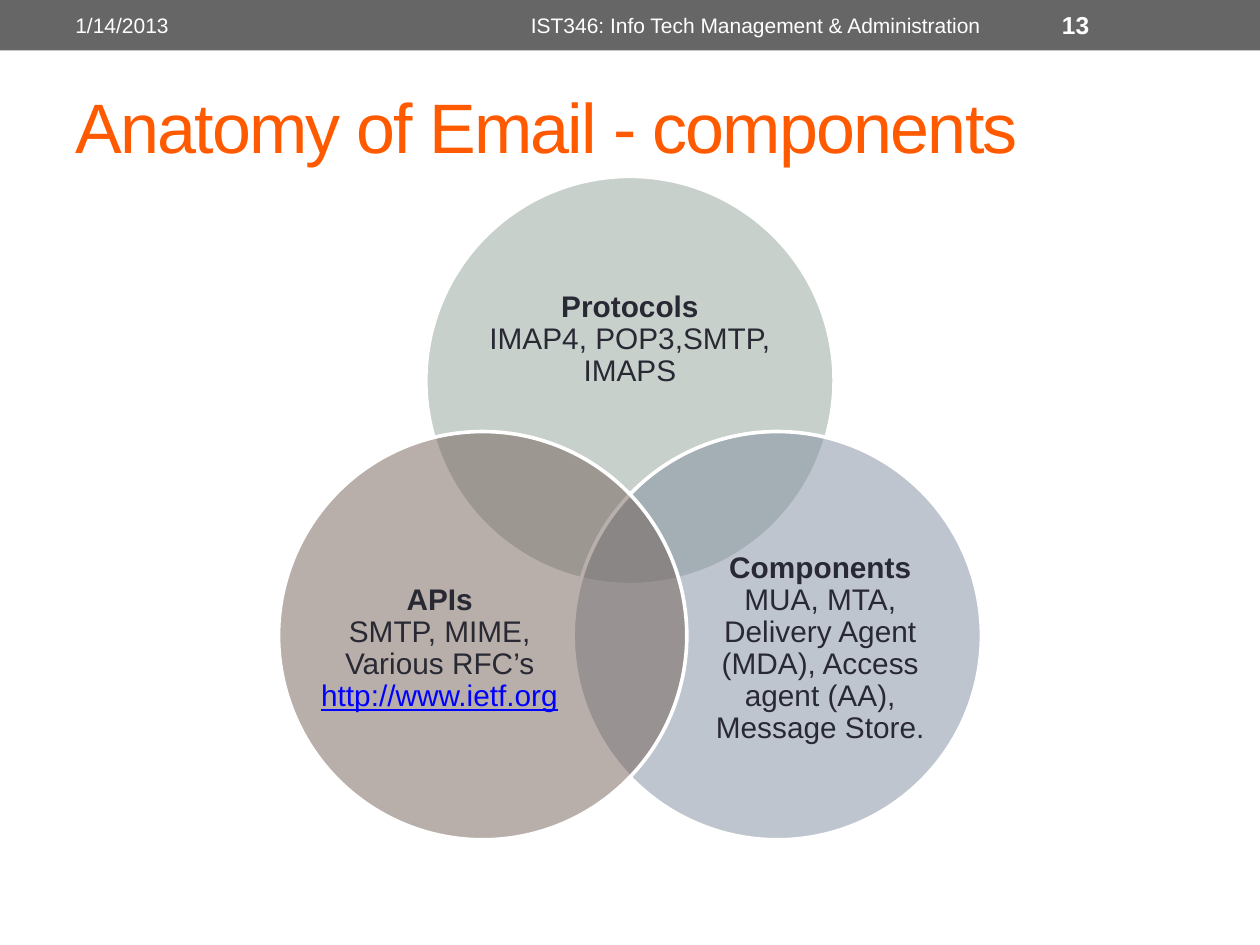
from math import cos, radians, sin

from lxml.etree import SubElement
from pptx import Presentation
from pptx.dml.color import RGBColor
from pptx.enum.shapes import MSO_SHAPE as Shape
from pptx.enum.text import MSO_ANCHOR as Anchor, PP_ALIGN as Align
from pptx.oxml.ns import qn
from pptx.util import Inches, Pt

WHITE, GRAY, ORANGE = "FFFFFF", "666666", "FF5A00"
INK, LINK = "292934", "0000FF"
SAGE, SLATE, BROWN = "93A299", "808DA0", "726056"


def color(hex_string):
    return RGBColor.from_string(hex_string)


class SlideBuilder:
    font_name = "Arial"

    def __init__(self, slide):
        self.slide = slide

    def shape(self, kind, left, top, width, height, fill, opacity=100, line=None):
        shape = self.slide.shapes.add_shape(
            kind, Inches(left), Inches(top), Inches(width), Inches(height))
        shape.shadow.inherit = False
        shape.fill.solid()
        shape.fill.fore_color.rgb = color(fill)
        if opacity < 100:
            fill_color = shape.fill._xPr.find(qn("a:solidFill"))[0]
            SubElement(fill_color, qn("a:alpha")).set("val", str(opacity * 1000))
        if line:
            shape.line.color.rgb = color(line)
            shape.line.width = Pt(2.08)
        else:
            shape.line.fill.background()

    def text_box(self, left, top, width, height, align=Align.LEFT, inset=True):
        """Add a middle-anchored box and return its first paragraph."""
        box = self.slide.shapes.add_textbox(
            Inches(left), Inches(top), Inches(width), Inches(height))
        frame = box.text_frame
        frame.word_wrap = True
        frame.vertical_anchor = Anchor.MIDDLE
        if not inset:
            frame.margin_left = frame.margin_right = 0
            frame.margin_top = frame.margin_bottom = 0
        paragraph = frame.paragraphs[0]
        paragraph.alignment = align
        return paragraph

    def run(self, paragraph, text, size, fill, bold=False, underline=False, spacing=0):
        run = paragraph.add_run()
        run.text = text
        font = run.font
        font.name, font.size = self.font_name, Pt(size)
        font.bold, font.underline = bold, underline
        font.color.rgb = color(fill)
        if spacing:
            run._r.get_or_add_rPr().set("spc", str(spacing * 100))

    def circle(self, angle, fill):
        """Add a Venn circle whose centre lies at an angle around the middle."""
        diameter, orbit, middle_x, middle_y = 3.24, 1.35, 5, 4.37
        left = middle_x + orbit * cos(radians(angle)) - diameter / 2
        top = middle_y - orbit * sin(radians(angle)) - diameter / 2
        self.shape(Shape.OVAL, left, top, diameter, diameter, fill, 50, WHITE)

    def label(self, box, heading, body, link=None):
        paragraph = self.text_box(*box, align=Align.CENTER, inset=False)
        paragraph.line_spacing = 0.9
        self.run(paragraph, heading, 17, INK, bold=True)
        paragraph.add_line_break()
        self.run(paragraph, body, 17, INK)
        if link:
            self.run(paragraph, link, 17, LINK, underline=True)


def main():
    presentation = Presentation()
    presentation.slide_width, presentation.slide_height = Inches(10), Inches(7.5)
    slide = presentation.slides.add_slide(presentation.slide_layouts[6])
    builder = SlideBuilder(slide)

    builder.shape(Shape.RECTANGLE, 0, 0, 10, 0.4, GRAY)
    title = builder.text_box(0.5, 0.58, 9, 0.83)
    builder.run(title, "Anatomy of Email - components", 40, ORANGE, spacing=-1)

    venn = [
        (90, SAGE, (3.81, 1.97, 2.38, 1.46),
         "Protocols", "IMAP4, POP3,SMTP, IMAPS", None),
        (-30, SLATE, (5.54, 4.26, 1.94, 1.78), "Components",
         "MUA, MTA, Delivery Agent (MDA), Access agent (AA), Message Store.", None),
        (210, BROWN, (2.52, 4.26, 1.94, 1.78),
         "APIs", "SMTP, MIME, Various RFC’s ", "http://www.ietf.org"),
    ]
    for angle, fill, box, heading, body, link in venn:
        builder.circle(angle, fill)
        builder.label(box, heading, body, link)

    header = [
        (0.5, 3.17, Align.LEFT, "1/14/2013", 12, False),
        (3.75, 4.5, Align.CENTER,
         "IST346: Info Tech Management & Administration", 12, False),
        (8.33, 1.17, Align.LEFT, "13", 14, True),
    ]
    for left, width, align, text, size, bold in header:
        paragraph = builder.text_box(left, 0.02, width, 0.36, align)
        builder.run(paragraph, text, size, WHITE, bold)

    presentation.save("out.pptx")


if __name__ == "__main__":
    main()
